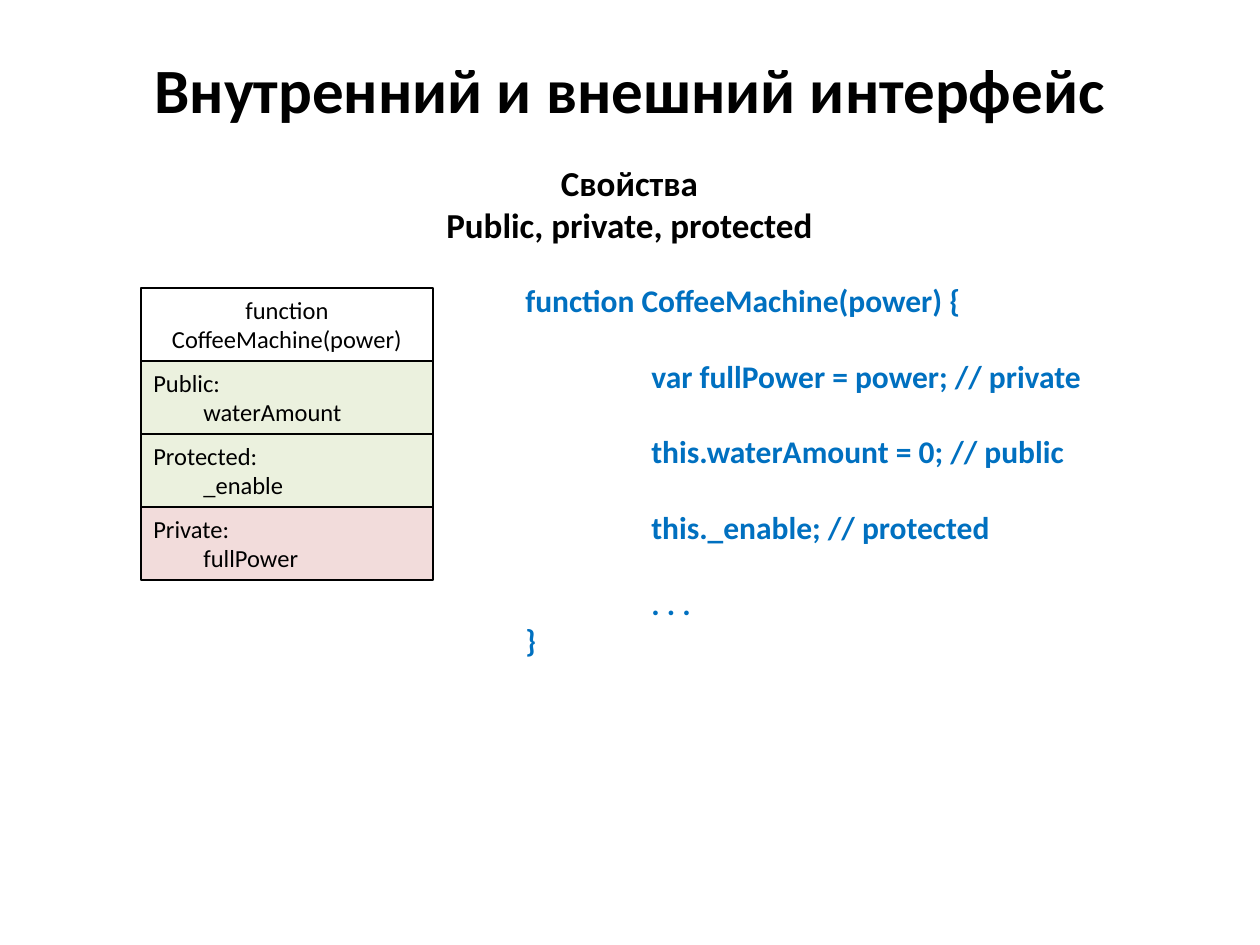
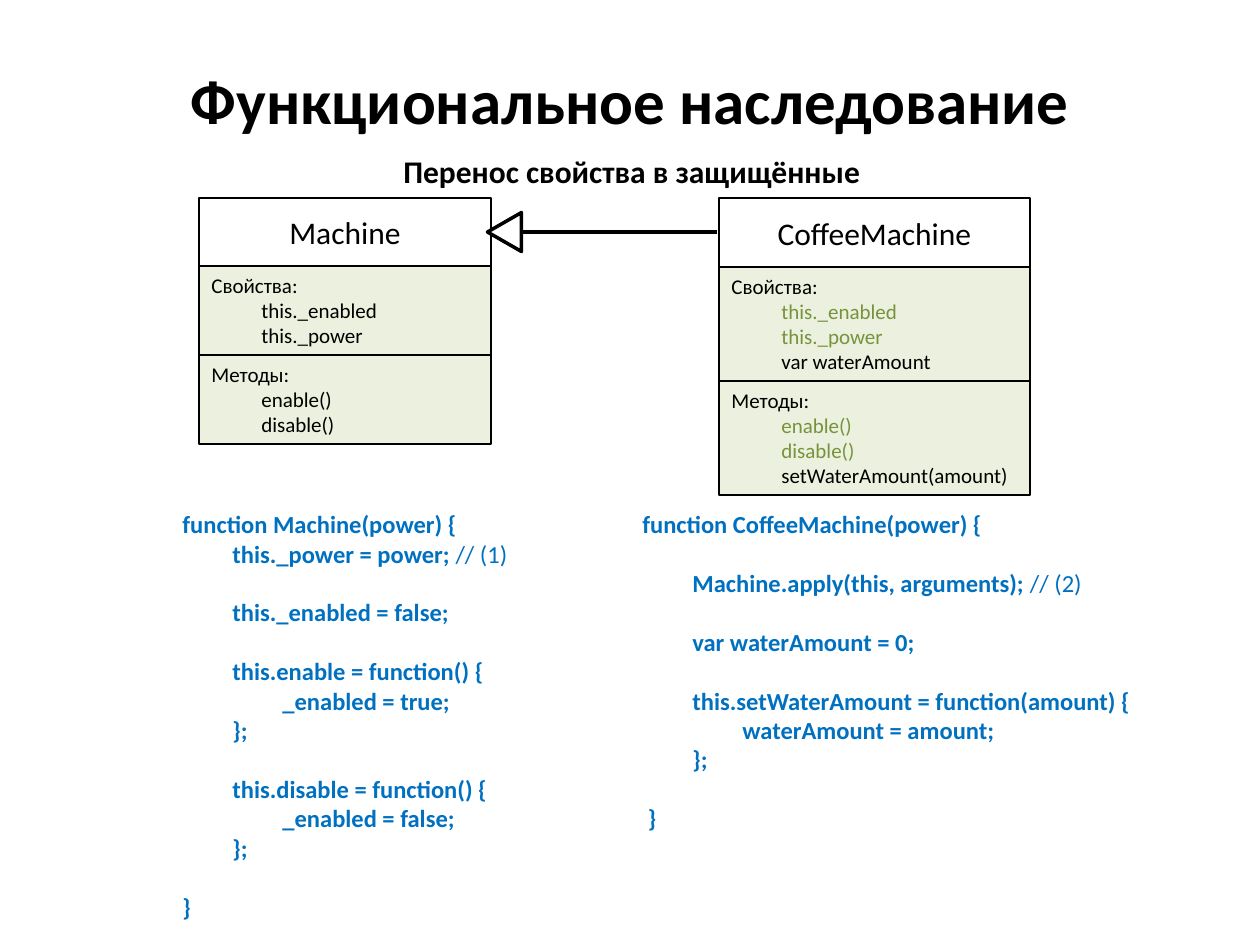
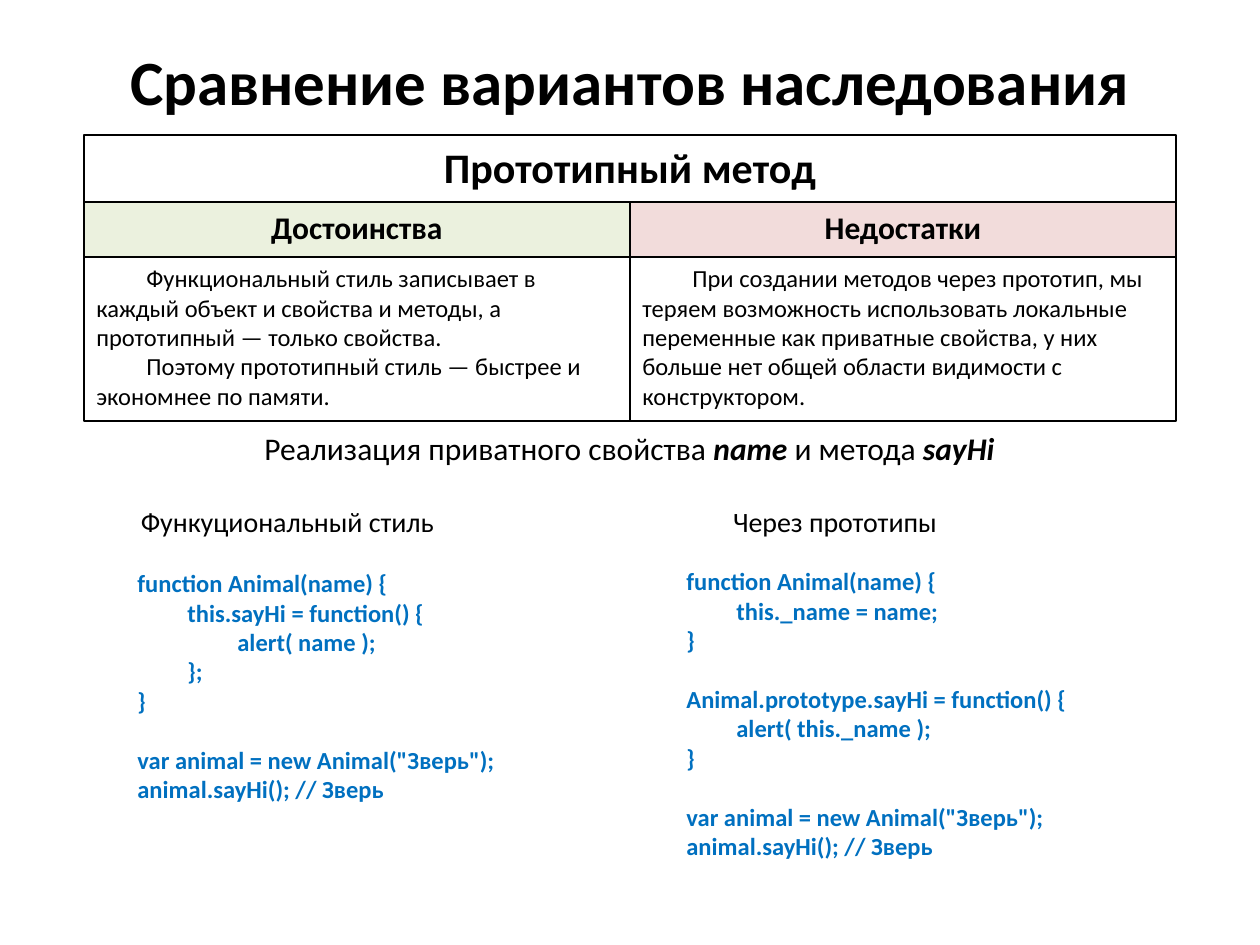
from pptx import Presentation
from pptx.dml.color import RGBColor
from pptx.enum import shapes, text
from pptx.util import Pt
from lxml import etree

PX = 914400 // 126
WIDE, HIGH = 1260, 945
TAB = 50
FONT = "Calibri"
HUES = {"ink": "000000", "code": "0070C0", "good": "EBF1DE",
        "bad": "F2DCDB", "green": "77933C", "paper": "FFFFFF"}
MID, LEFT = text.PP_ALIGN.CENTER, text.PP_ALIGN.LEFT
NS = "http://schemas.openxmlformats.org/drawingml/2006/main"


def hue(name):
    return RGBColor.from_string(HUES[name])


def write(frame, lines, size, color="ink", bold=False, align=LEFT,
          tab=TAB, first=0, alt=None):
    """Leading tabs set the indent, an empty line adds space before the
    next one, and text between bars takes the style in alt."""
    base = {"color": color, "bold": bold, "italic": False}
    gap, para = 0, None
    for line in lines:
        if not line:
            gap += 1.2 * size
            continue
        para = frame.add_paragraph() if para else frame.paragraphs[0]
        body = line.lstrip("\t")
        props = para._p.get_or_add_pPr()
        props.set("marL", str((len(line) - len(body)) * tab * PX))
        props.set("indent", str(first * PX))
        para.alignment = align
        para.space_before = Pt(gap)
        gap = 0
        for i, part in enumerate(body.split("|")):
            if not part:
                continue
            run = para.add_run()
            run.text = part
            look = {**base, **(alt or {})} if i % 2 else base
            font = run.font
            font.name, font.size = FONT, Pt(size)
            font.bold, font.italic = look["bold"], look["italic"]
            font.color.rgb = hue(look["color"])


def label(slide, box, lines, size, wrap=True, **look):
    area = slide.shapes.add_textbox(*(n * PX for n in box))
    area.text_frame.word_wrap = wrap
    write(area.text_frame, lines, size, **look)


def code(slide, box, lines, size=14, **look):
    label(slide, box, lines, size, color="code", bold=True, **look)


def title(slide, y, words):
    label(slide, (0, y, WIDE, 89), [words], 36, bold=True, align=MID)


def shape(slide, kind, box, fill, width):
    item = slide.shapes.add_shape(kind, *(n * PX for n in box))
    item.shadow.inherit = False
    if fill:
        item.fill.solid()
        item.fill.fore_color.rgb = hue(fill)
    else:
        item.fill.background()
    item.line.color.rgb = hue("ink")
    item.line.width = Pt(width)
    return item


def cell(slide, box, lines, size, fill=None, width=1.5, mid=False, **look):
    item = shape(slide, shapes.MSO_SHAPE.RECTANGLE, box, fill, width)
    frame = item.text_frame
    frame.word_wrap = True
    anchor = text.MSO_ANCHOR
    frame.vertical_anchor = anchor.MIDDLE if mid else anchor.TOP
    write(frame, lines, size, **look)


def card(slide, x, y, wide, head, rows, sizes, tall, mid=False):
    """A class card: a name on top, then filled rows of members."""
    cell(slide, (x, y, wide, tall[0]), [head], sizes[0], mid=True, align=MID)
    y += tall[0]
    for fill, lines in rows:
        cell(slide, (x, y, wide, tall[1]), lines, sizes[1], fill, mid=mid,
             alt={"color": "green"})
        y += tall[1]


def arrow(slide, tip, y, end):
    """An inheritance arrow with a hollow head pointing left."""
    wide, deep = 39, 34
    line = slide.shapes.add_connector(
        shapes.MSO_CONNECTOR.STRAIGHT, end * PX, y * PX,
        (tip + deep) * PX, y * PX)
    line.line.color.rgb = hue("ink")
    line.line.width = Pt(2)
    etree.SubElement(line._element.spPr, f"{{{NS}}}effectLst")
    box = (tip + (deep - wide) // 2, y - deep // 2, wide, deep)
    head = shape(slide, shapes.MSO_SHAPE.ISOSCELES_TRIANGLE, box, "paper", 2)
    head.rotation = 270


def versus(slide, x, y, wide, head, sides):
    """A heading over two columns, each with a name and a text."""
    top, bar, body = 67, 55, 164
    cell(slide, (x, y, wide, top), [head], 24, width=1, bold=True, align=MID)
    half = wide // 2
    for i, (name, fill, lines) in enumerate(sides):
        left = x + i * half
        cell(slide, (left, y + top, half, bar), [name], 18, fill, 1,
             bold=True, align=MID)
        cell(slide, (left, y + top + bar, half, body), lines, 14, width=1,
             first=TAB)


def access(slide):
    title(slide, 44, "Внутренний и внешний интерфейс")
    label(slide, (432, 155, 395, 97),
          ["Свойства", "Рublic, private, protected"], 20, wrap=False,
          bold=True, align=MID)
    card(slide, 141, 288, 292, "function CoffeeMachine(power)", [
        ("good", ["Public:", "\twaterAmount"]),
        ("good", ["Protected:", "\t_enable"]),
        ("bad", ["Private:", "\tfullPower"])], (14, 14), (73, 73), mid=True)
    code(slide, (513, 275, 630, 394), [
        "function CoffeeMachine(power) {", "",
        "\tvar fullPower = power; // private", "",
        "\tthis.waterAmount = 0; // public", "",
        "\tthis._enable; // protected", "",
        "\t. . .",
        "}"], 18, tab=126)


def inherit(slide):
    title(slide, 55, "Функциональное наследование")
    label(slide, (391, 146, 503, 50), ["Перенос свойства в защищённые"], 18,
          wrap=False, bold=True)
    # Class cards
    card(slide, 199, 198, 292, "Machine", [
        ("good", ["Свойства:", "\tthis._enabled", "\tthis._power"]),
        ("good", ["Методы:", "\tenable()", "\tdisable()"])],
        (18, 12), (68, 89))
    card(slide, 719, 198, 311, "CoffeeMachine", [
        ("good", ["Свойства:", "\t|this._enabled|", "\t|this._power|",
                  "\tvar waterAmount"]),
        ("good", ["Методы:", "\t|enable()|", "\t|disable()|",
                  "\tsetWaterAmount(amount)"])],
        (18, 12), (69, 114))
    arrow(slide, 488, 232, 717)
    # Code of both classes
    note = {"bold": False}
    code(slide, (170, 503, 357, 428), [
        "function Machine(power) {",
        "\tthis._power = power; |// (1)|", "",
        "\tthis._enabled = false;", "",
        "\tthis.enable = function() {",
        "\t\t_enabled = true;",
        "\t};", "",
        "\tthis.disable = function() {",
        "\t\t_enabled = false;",
        "\t};", "",
        "}"], alt=note)
    code(slide, (630, 503, 571, 339), [
        "function CoffeeMachine(power) {", "",
        "\tMachine.apply(this, arguments); |// (2)|", "",
        "\tvar waterAmount = 0;", "",
        "\tthis.setWaterAmount = function(amount) {",
        "\t\twaterAmount = amount;",
        "\t};", "",
        "\u00a0}"], alt=note)


def compare(slide):
    title(slide, 36, "Сравнение вариантов наследования")
    versus(slide, 84, 135, 1092, "Прототипный метод", [
        ("Достоинства", "good", [
            "Функциональный стиль записывает в каждый объект и свойства и "
            "методы, а прототипный — только свойства.",
            "Поэтому прототипный стиль — быстрее и экономнее по памяти."]),
        ("Недостатки", "bad", [
            "При создании методов через прототип, мы теряем возможность "
            "использовать локальные переменные как приватные свойства, у "
            "них больше нет общей области видимости с конструктором."])])
    label(slide, (249, 423, 761, 50),
          ["Реализация приватного свойства |name |и метода |sayHi|"], 18,
          wrap=False, align=MID, alt={"bold": True, "italic": True})
    # Both styles side by side
    for box, name in (((127, 498, 321, 47), "Функуциональный стиль"),
                      ((719, 498, 232, 47), "Через прототипы")):
        label(slide, box, [name], 16, wrap=False, align=MID)
    usage = ["", 'var animal = new Animal("Зверь");',
             "animal.sayHi(); // Зверь"]
    code(slide, (125, 562, 387, 251), [
        "function Animal(name) {",
        "\tthis.sayHi = function() {",
        "\t\talert( name );",
        "\t};",
        "}", *usage])
    code(slide, (674, 560, 476, 310), [
        "function Animal(name) {",
        "\tthis._name = name;",
        "}", "",
        "Animal.prototype.sayHi = function() {",
        "\talert( this._name );",
        "}", *usage])


deck = Presentation()
deck.slide_width, deck.slide_height = WIDE * PX, HIGH * PX
for build in (access, inherit, compare):
    build(deck.slides.add_slide(deck.slide_layouts[6]))
deck.save("out.pptx")
